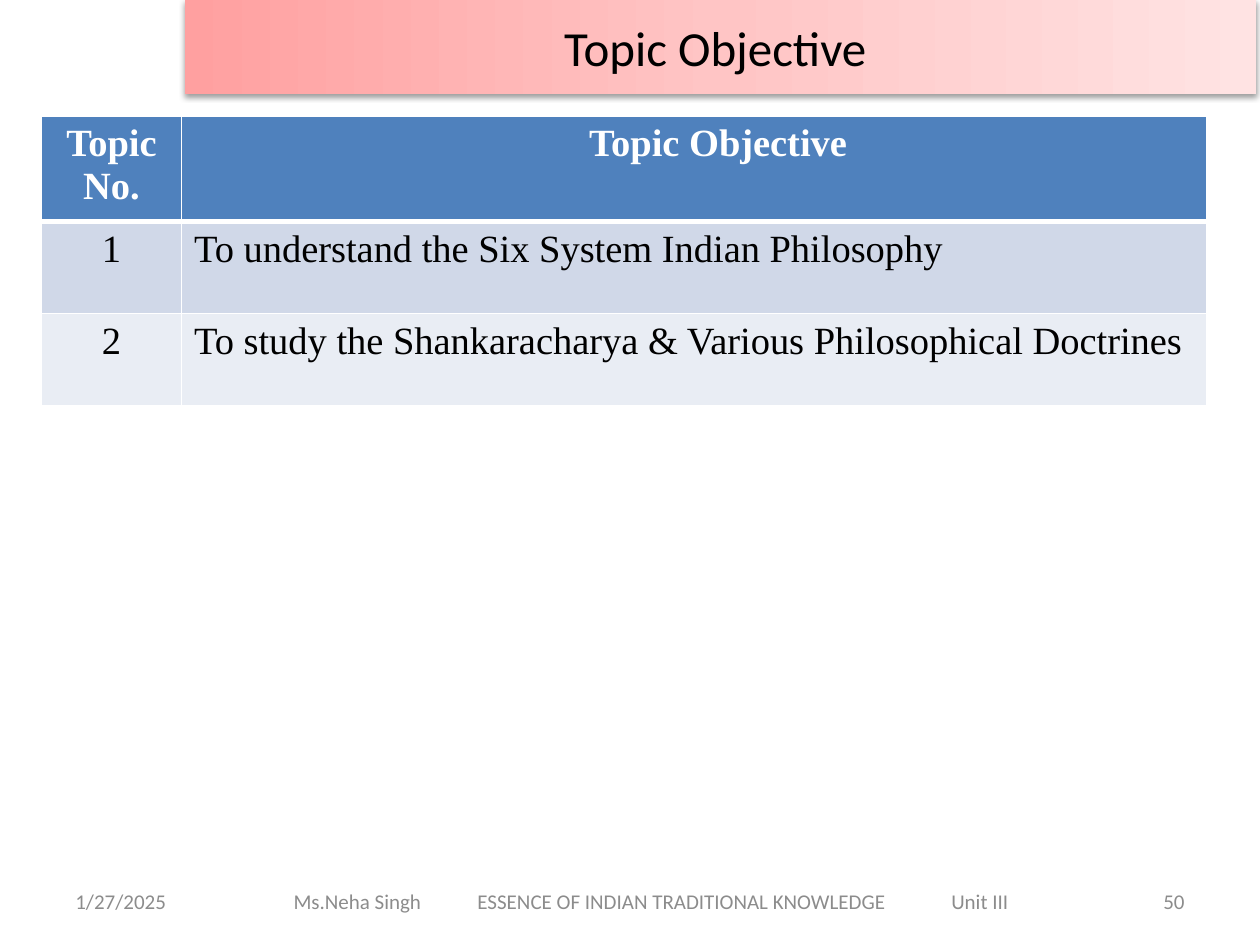
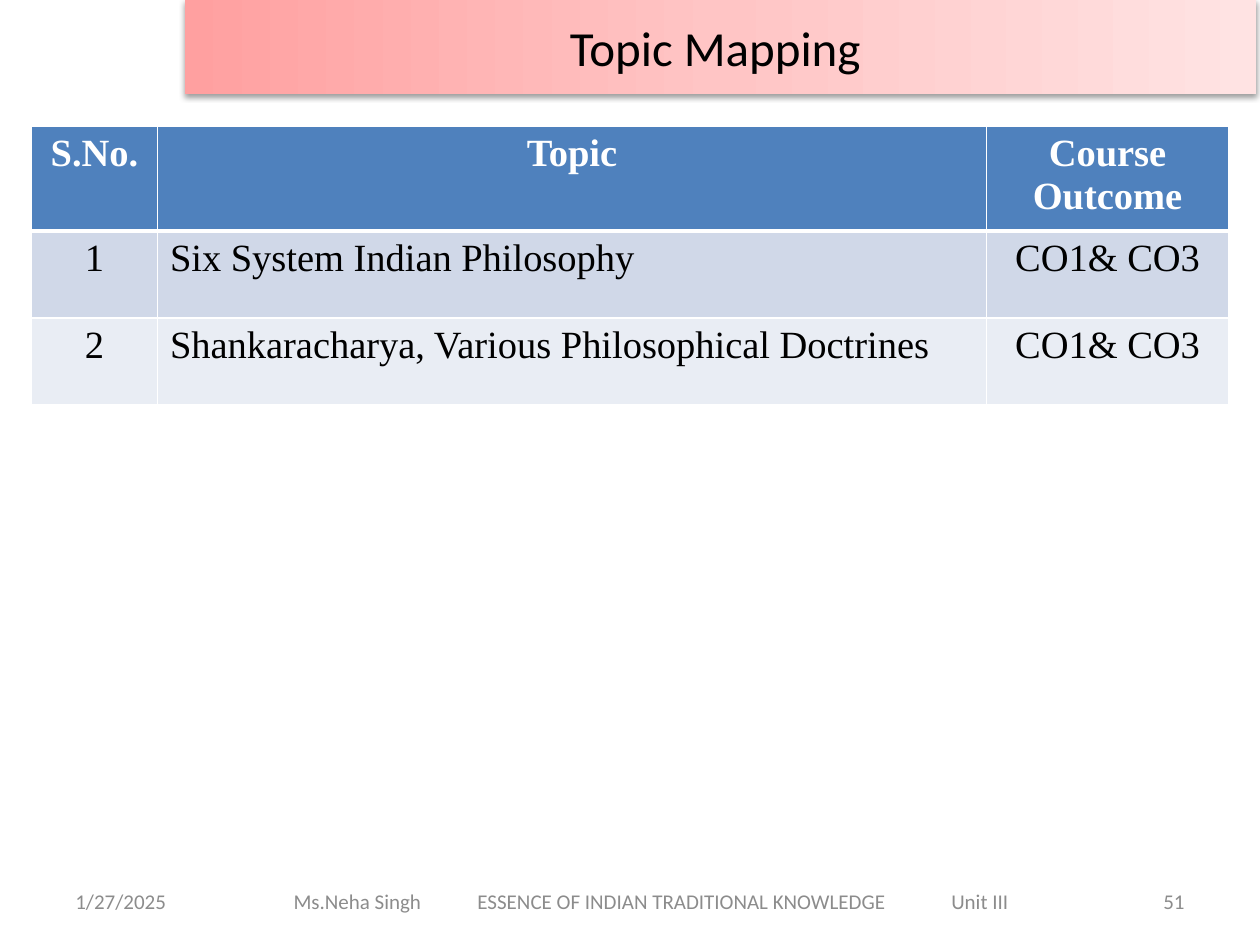
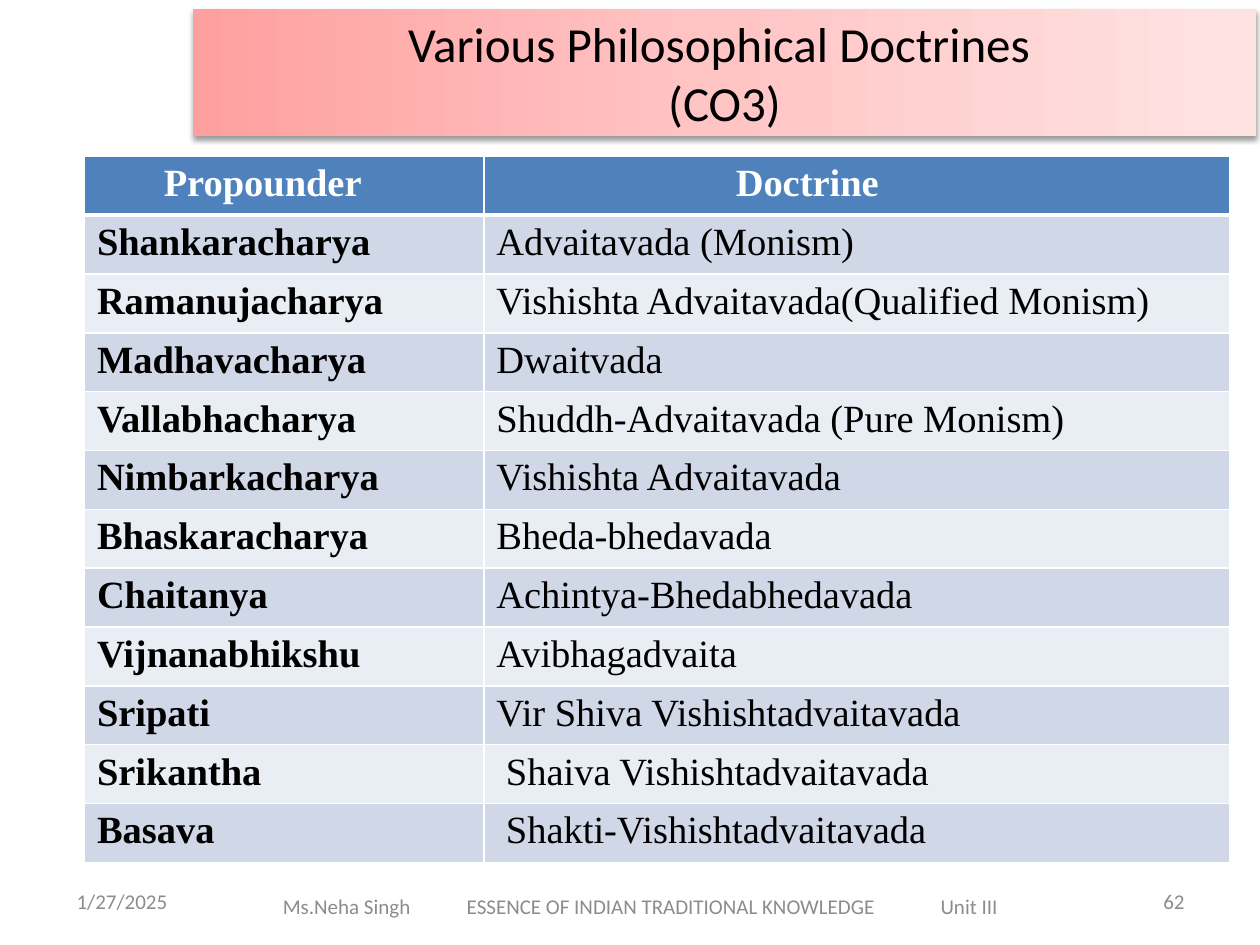
from dataclasses import dataclass
from typing import Any

from lxml.etree import SubElement
from pptx import Presentation
from pptx.dml.color import RGBColor
from pptx.enum.text import MSO_ANCHOR, MSO_AUTO_SIZE, PP_ALIGN
from pptx.oxml import parse_xml
from pptx.oxml.ns import nsdecls, qn
from pptx.util import Inches, Pt


@dataclass(frozen=True)
class Theme:
    sans: str = "Calibri"
    serif: str = "Times New Roman"
    title_size: int = 28
    table_size: int = 22
    footer_size: int = 12
    ink: str = "000000"
    muted: str = "8C8C8C"
    white: str = "FFFFFF"
    header: str = "4F81BD"
    bands: tuple[str, str] = ("D0D8E8", "E9EDF4")
    title_stops: tuple[tuple[int, str], ...] = (
        (0, "FFA0A0"), (50, "FFC5C5"), (100, "FFE3E3"))
    grid_line: float = 1
    header_line: float = 3


THEME = Theme()
TITLE_ONLY = 5
DATE = "1/27/2025"
COURSE_LINE = "Ms.Neha Singh\tESSENCE OF INDIAN TRADITIONAL KNOWLEDGE\tUnit III"
COURSE_TABS = (1.46, 5.22)
COURSE_WIDTH = 5.67
FOOTER_TOP = 6.95


@dataclass(frozen=True)
class Box:
    left: float
    top: float
    width: float
    height: float

    def emu(self) -> list[int]:
        return [Inches(v) for v in (self.left, self.top, self.width, self.height)]


@dataclass(frozen=True)
class Column:
    heading: str
    width: float
    align: PP_ALIGN = PP_ALIGN.JUSTIFY
    bold: bool = False
    heading_align: PP_ALIGN = PP_ALIGN.CENTER
    heading_indent: float = 0


@dataclass(frozen=True)
class Topic:
    title: str
    number: int
    columns: tuple[Column, ...]
    rows: tuple[tuple[str, ...], ...]
    table_at: tuple[float, float]
    header_height: float
    row_height: float
    title_box: Box = Box(1.47, 0, 8.5, 0.75)
    date_box: Box = Box(0.5, FOOTER_TOP, 2.33, 0.4)
    course_box: Box = Box(1.75, FOOTER_TOP, 6.83, 0.4)
    number_box: Box = Box(7.17, FOOTER_TOP, 2.33, 0.4)


TOPICS = (
    Topic(
        "Topic Objective ", 50,
        (Column("Topic No.", 1.11, PP_ALIGN.CENTER),
         Column("Topic Objective", 8.14, heading_indent=0.38)),
        (("1", "To understand the Six System Indian Philosophy"),
         ("2", "To study the Shankaracharya & Various Philosophical Doctrines")),
        (0.33, 0.92), 0.84, 0.73,
    ),
    Topic(
        "Topic Mapping ", 51,
        (Column("S.No.", 1, PP_ALIGN.CENTER),
         Column("Topic", 6.58),
         Column("Course Outcome", 1.92, PP_ALIGN.CENTER)),
        (("1", "Six System Indian Philosophy", "CO1& CO3"),
         ("2", "Shankaracharya, Various Philosophical Doctrines", "CO1& CO3")),
        (0.25, 1), 0.81, 0.69,
    ),
    Topic(
        "Various Philosophical Doctrines \n(CO3)", 62,
        (Column("Propounder", 3.17, bold=True,
                heading_align=PP_ALIGN.LEFT, heading_indent=0.53),
         Column("Doctrine", 5.92, PP_ALIGN.LEFT,
                heading_align=PP_ALIGN.LEFT, heading_indent=1.9)),
        (("Shankaracharya", "Advaitavada (Monism)"),
         ("Ramanujacharya", "Vishishta Advaitavada(Qualified Monism)"),
         ("Madhavacharya", "Dwaitvada"),
         ("Vallabhacharya", "Shuddh-Advaitavada (Pure Monism)"),
         ("Nimbarkacharya", "Vishishta Advaitavada"),
         ("Bhaskaracharya", "Bheda-bhedavada"),
         ("Chaitanya", "Achintya-Bhedabhedavada"),
         ("Vijnanabhikshu", "Avibhagadvaita"),
         ("Sripati", "Vir Shiva Vishishtadvaitavada"),
         ("Srikantha", " Shaiva Vishishtadvaitavada"),
         ("Basava", " Shakti-Vishishtadvaitavada")),
        (0.67, 1.24), 0.43, 0.43,
        title_box=Box(1.53, 0.07, 8.44, 1.01),
        date_box=Box(0.51, FOOTER_TOP, 2.33, 0.4),
        course_box=Box(1.58, FOOTER_TOP, 7, 0.48),
        number_box=Box(8.58, FOOTER_TOP, 0.92, 0.4),
    ),
)


def apply(target: Any, formats: dict[str, Any]) -> None:
    for attribute, value in formats.items():
        setattr(target, attribute, value)


def write(frame: Any, text: str, align: PP_ALIGN, font: str, size: int,
          color: str, bold: bool = False) -> None:
    frame.text = text
    for paragraph in frame.paragraphs:
        paragraph.alignment = align
        for run in paragraph.runs:
            apply(run.font, {"name": font, "size": Pt(size), "bold": bold})
            run.font.color.rgb = RGBColor.from_string(color)


def add_title(slide: Any, topic: Topic) -> None:
    title = slide.shapes.title
    left, top, width, height = topic.title_box.emu()
    apply(title, {"left": left, "top": top, "width": width, "height": height})
    stops = "".join(
        f'<a:gs pos="{position * 1000}"><a:srgbClr val="{color}"/></a:gs>'
        for position, color in THEME.title_stops)
    properties = title._element.spPr
    properties.append(parse_xml(
        f'<a:gradFill {nsdecls("a")} rotWithShape="1"><a:gsLst>{stops}</a:gsLst>'
        '<a:lin ang="0" scaled="0"/></a:gradFill>'))
    properties.append(parse_xml(
        f'<a:effectLst {nsdecls("a")}><a:outerShdw blurRad="{Pt(3.1)}" '
        f'dist="{Pt(1.6)}" dir="5400000" rotWithShape="0">'
        f'<a:srgbClr val="{THEME.ink}"><a:alpha val="38000"/></a:srgbClr>'
        '</a:outerShdw></a:effectLst>'))
    frame = title.text_frame
    apply(frame, {"word_wrap": True, "auto_size": MSO_AUTO_SIZE.NONE,
                  "vertical_anchor": MSO_ANCHOR.MIDDLE})
    write(frame, topic.title, PP_ALIGN.CENTER, THEME.sans,
          THEME.title_size, THEME.ink)


def add_footer_text(slide: Any, box: Box, text: str, align: PP_ALIGN) -> Any:
    frame = slide.shapes.add_textbox(*box.emu()).text_frame
    apply(frame, {"word_wrap": True, "vertical_anchor": MSO_ANCHOR.MIDDLE})
    write(frame, text, align, THEME.sans, THEME.footer_size, THEME.muted)
    return frame


def add_footer(slide: Any, topic: Topic) -> None:
    add_footer_text(slide, topic.date_box, DATE, PP_ALIGN.LEFT)
    course = add_footer_text(slide, topic.course_box, COURSE_LINE, PP_ALIGN.LEFT)
    apply(course, {
        "margin_left": Inches((topic.course_box.width - COURSE_WIDTH) / 2),
        "margin_right": 0})
    tabs = SubElement(course.paragraphs[0]._p.get_or_add_pPr(), qn("a:tabLst"))
    for position in COURSE_TABS:
        SubElement(tabs, qn("a:tab"), pos=str(Inches(position)), algn="l")
    add_footer_text(slide, topic.number_box, str(topic.number), PP_ALIGN.RIGHT)


def set_borders(cell: Any, top: float, bottom: float) -> None:
    properties = cell._tc.get_or_add_tcPr()
    widths = {"lnL": THEME.grid_line, "lnR": THEME.grid_line,
              "lnT": top, "lnB": bottom}
    for index, (side, width) in enumerate(widths.items()):
        properties.insert(index, parse_xml(
            f'<a:{side} {nsdecls("a")} w="{Pt(width)}"><a:solidFill>'
            f'<a:srgbClr val="{THEME.white}"/></a:solidFill></a:{side}>'))


def fill_cell(cell: Any, column: Column, text: str, row: int) -> None:
    is_header = row == 0
    if is_header:
        fill, color, bold = THEME.header, THEME.white, True
        align = column.heading_align
        cell.margin_left = Inches(0.1 + column.heading_indent)
    else:
        fill, color, bold = THEME.bands[(row - 1) % 2], THEME.ink, column.bold
        align = column.align
    cell.fill.solid()
    cell.fill.fore_color.rgb = RGBColor.from_string(fill)
    set_borders(cell,
                THEME.header_line if row == 1 else THEME.grid_line,
                THEME.header_line if is_header else THEME.grid_line)
    write(cell.text_frame, text, align, THEME.serif, THEME.table_size, color, bold)


def add_topic_table(slide: Any, topic: Topic) -> None:
    contents = (tuple(c.heading for c in topic.columns), *topic.rows)
    heights = [topic.header_height] + [topic.row_height] * len(topic.rows)
    box = Box(*topic.table_at, sum(c.width for c in topic.columns), sum(heights))
    table = slide.shapes.add_table(
        len(contents), len(topic.columns), *box.emu()).table
    for grid_column, column in zip(table.columns, topic.columns):
        grid_column.width = Inches(column.width)
    for row, (texts, height) in enumerate(zip(contents, heights)):
        table.rows[row].height = Inches(height)
        for index, (column, text) in enumerate(zip(topic.columns, texts)):
            fill_cell(table.cell(row, index), column, text, row)


def main() -> None:
    deck = Presentation()
    apply(deck, {"slide_width": Inches(10), "slide_height": Inches(7.5)})
    for topic in TOPICS:
        slide = deck.slides.add_slide(deck.slide_layouts[TITLE_ONLY])
        add_footer(slide, topic)
        add_title(slide, topic)
        add_topic_table(slide, topic)
    deck.save("out.pptx")


if __name__ == "__main__":
    main()
